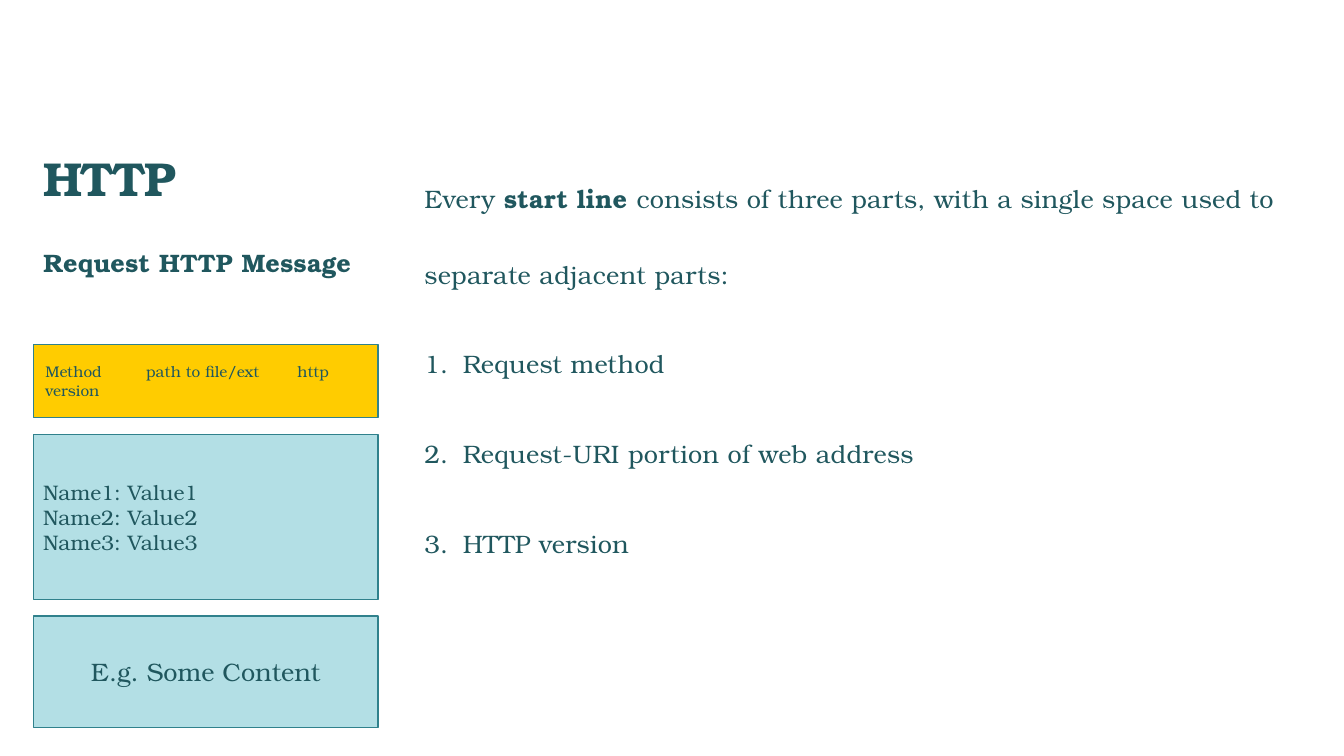
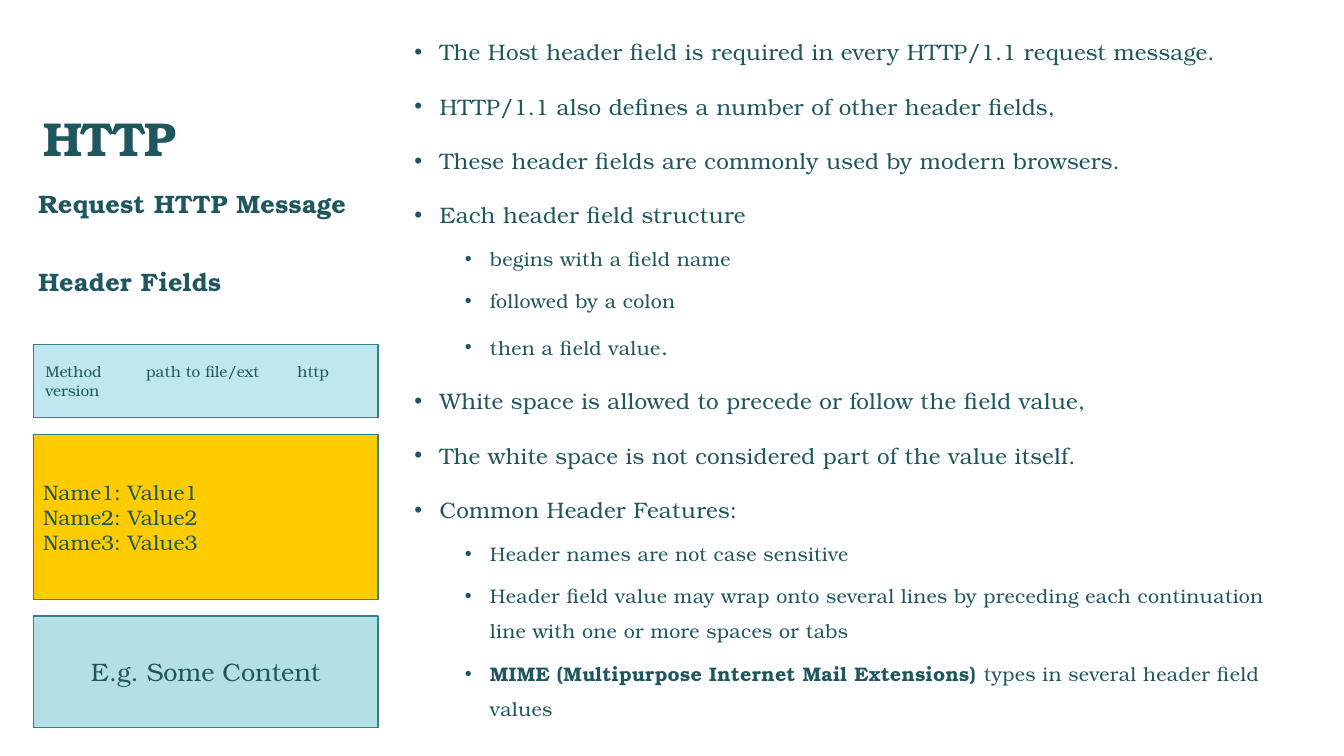
from lxml import etree
from pptx import Presentation
from pptx.dml.color import RGBColor
from pptx.enum.shapes import MSO_SHAPE as Shape
from pptx.enum.text import MSO_ANCHOR as Anchor, MSO_AUTO_SIZE as AutoSize, PP_ALIGN as Align
from pptx.oxml.ns import qn
from pptx.util import Inches, Pt

COLORS = {"text": "20575E", "edge": "30818C", "highlight": "FFCC00",
          "start": "BFE7EF", "part": "B3DFE5"}
FONT = "TeX Gyre Bonum"
TWO_CONTENT = 3

TITLE = {"size": 34, "bold": True, "spacing": -1}
SUBTITLE = {"size": 18, "bold": True, "spacing": 0.2}
LEAD = {"size": 18, "spacing": 0.2}
BULLET = {"size": 16, "spacing": 0.2}
SUB_BULLET = {"size": 14, "spacing": 0.2}

STEP = {"marker": ("buAutoNum", {"type": "arabicPeriod"}), "indent": 0.38, "hang": 0.38}
DOT = {"marker": ("buChar", {"char": "•"}), "hang": 0.25}

PARTS_LEFT, PARTS_TOP, PARTS_WIDTH = 0.33, 3.42, 3.42


def rgb(name):
    return RGBColor.from_string(COLORS[name])


def add_run(p, text, size, bold=False, spacing=0):
    r = p.add_run()
    r.text = text
    for name, value in {"name": FONT, "size": Pt(size), "bold": bold}.items():
        setattr(r.font, name, value)
    r.font.color.rgb = rgb("text")
    if spacing:
        r._r.get_or_add_rPr().set("spc", str(round(spacing * 100)))


def add_paragraph(tf, runs, style, marker=("buNone", {}), indent=0, hang=0, tabs=(),
                  align=Align.LEFT, line=1.0, before=0, level=0):
    """Runs are a string, or (text, style changes) pairs."""
    first = not tf.paragraphs[0].runs
    p = tf.paragraphs[0] if first else tf.add_paragraph()
    pPr = p._p.get_or_add_pPr()
    pPr.set("marL", str(Inches(indent)))
    pPr.set("indent", str(-Inches(hang)))
    tag, attributes = marker
    etree.SubElement(pPr, qn("a:" + tag), attributes)
    if tabs:
        stops = etree.SubElement(pPr, qn("a:tabLst"))
        for pos in tabs:
            etree.SubElement(stops, qn("a:tab"), {"pos": str(Inches(pos)), "algn": "l"})
    settings = {"alignment": align, "line_spacing": line, "level": level,
                "space_before": Pt(0 if first else before), "space_after": Pt(0)}
    for name, value in settings.items():
        setattr(p, name, value)
    for text, changes in [(runs, {})] if isinstance(runs, str) else runs:
        add_run(p, text, **{**style, **changes})


def place(sp, left, top, width, height, anchor=Anchor.TOP):
    """Move a placeholder and return its text frame."""
    for name, value in zip(("left", "top", "width", "height"), (left, top, width, height)):
        setattr(sp, name, Inches(value))
    tf = sp.text_frame
    for name, value in {"word_wrap": True, "auto_size": AutoSize.NONE,
                        "vertical_anchor": anchor}.items():
        setattr(tf, name, value)
    return tf


def add_part(s, top, height, fill):
    sp = s.shapes.add_shape(Shape.RECTANGLE, Inches(PARTS_LEFT), Inches(top),
                            Inches(PARTS_WIDTH), Inches(height))
    sp.shadow.inherit = False
    sp.fill.solid()
    sp.fill.fore_color.rgb = rgb(fill)
    sp.line.color.rgb = rgb("edge")
    sp.line.width = Pt(1)
    tf = sp.text_frame
    tf.word_wrap = True
    tf.vertical_anchor = Anchor.MIDDLE
    return tf


def add_message_diagram(s, top, start_fill, header_fill):
    """Start line, header fields and content, stacked."""
    tf = add_part(s, top, 0.72, start_fill)
    tf.margin_left, tf.margin_right = Inches(0.12), Inches(0.05)
    add_paragraph(tf, "Method\tpath to file/ext\thttp version", {"size": 11},
                  tabs=(0.81, 2.27))
    tf = add_part(s, top + 0.89, 1.64, header_fill)
    for n in range(1, 4):
        add_paragraph(tf, f"Name{n}: Value{n}", {"size": 15})
    tf = add_part(s, top + 2.69, 1.11, "part")
    add_paragraph(tf, "E.g. Some Content", {"size": 18}, align=Align.CENTER)


def add_http_slide(prs, title_top, start_fill, header_fill):
    """Add the shared parts; return the slide and its two body placeholders."""
    s = prs.slides.add_slide(prs.slide_layouts[TWO_CONTENT])
    title, subtitle, body = s.placeholders
    tf = place(title, 0.33, title_top, 3.34, 1.75, Anchor.BOTTOM)
    add_paragraph(tf, "HTTP", TITLE, line=0.9)
    add_message_diagram(s, PARTS_TOP, start_fill, header_fill)
    return subtitle, body


def add_start_line_slide(prs):
    subtitle, body = add_http_slide(prs, 0.35, "highlight", "part")
    tf = place(subtitle, 0.33, 2.44, 3.48, 0.8)
    add_paragraph(tf, "Request HTTP Message", SUBTITLE, line=0.9)

    tf = place(body, 4.11, 1.32, 8.9, 4.45)
    lead = [("Every ", {}), ("start line ", {"bold": True}),
            ("consists of three parts, with a single space used to separate "
             "adjacent parts:", {})]
    add_paragraph(tf, lead, LEAD, line=2.5)
    for step in ("Request method", "Request-URI portion of web address", "HTTP version"):
        add_paragraph(tf, step, LEAD, line=2.5, before=10, **STEP)


def add_header_fields_slide(prs):
    subtitle, body = add_http_slide(prs, -0.04, "start", "highlight")
    tf = place(subtitle, 0.28, 1.88, 3.48, 1.17)
    for text in ("Request HTTP Message", "Header Fields"):
        add_paragraph(tf, text, SUBTITLE, line=0.8, before=38)

    bullets = [
        ("The Host header field is required in every HTTP/1.1 request message.", []),
        ("HTTP/1.1 also defines a number of other header fields,", []),
        ("These header fields are commonly used by modern browsers.", []),
        ("Each header field structure", [
            "begins with a field name",
            "followed by a colon",
            [("then a field value", {}), (".", {"size": 16})]]),
        ("White space is allowed to precede or follow the field value,", []),
        ("The white space is not considered part of the value itself.", []),
        ("Common Header Features:", [
            "Header names are not case sensitive",
            "Header field value may wrap onto several lines by preceding each "
            "continuation line with one or more spaces or tabs",
            [("MIME (Multipurpose Internet Mail Extensions) ", {"bold": True}),
             ("types in several header field values", {})]]),
    ]
    tf = place(body, 4.01, 0.2, 8.92, 7.3)
    for text, details in bullets:
        add_paragraph(tf, text, BULLET, indent=0.25, line=1.5, before=10, **DOT)
        for detail in details:
            add_paragraph(tf, detail, SUB_BULLET, indent=0.75, line=1.5, before=5,
                          level=1, **DOT)


def main():
    prs = Presentation()
    prs.slide_width, prs.slide_height = Inches(13.33), Inches(7.5)
    add_start_line_slide(prs)
    add_header_fields_slide(prs)
    prs.save("out.pptx")


if __name__ == "__main__":
    main()
